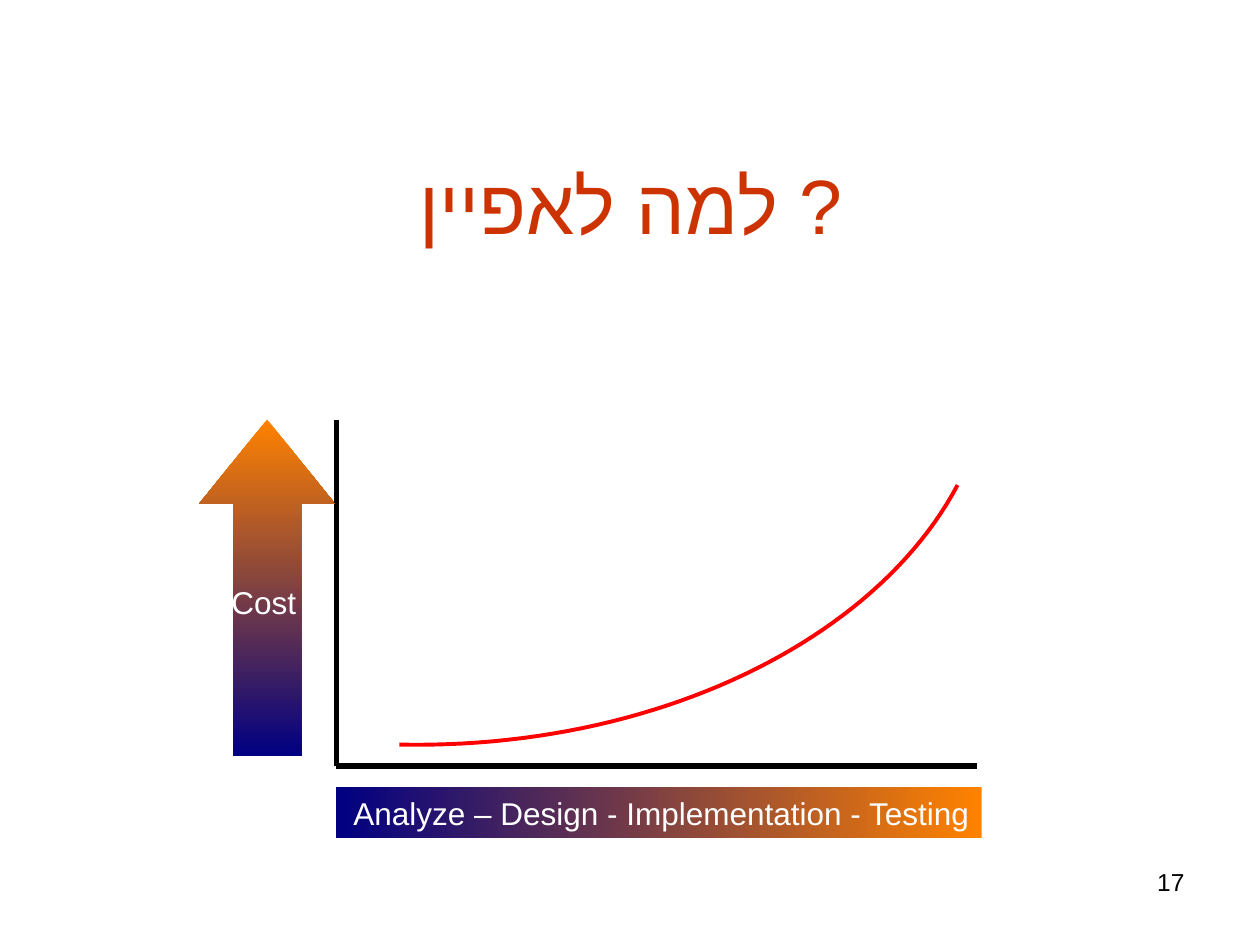
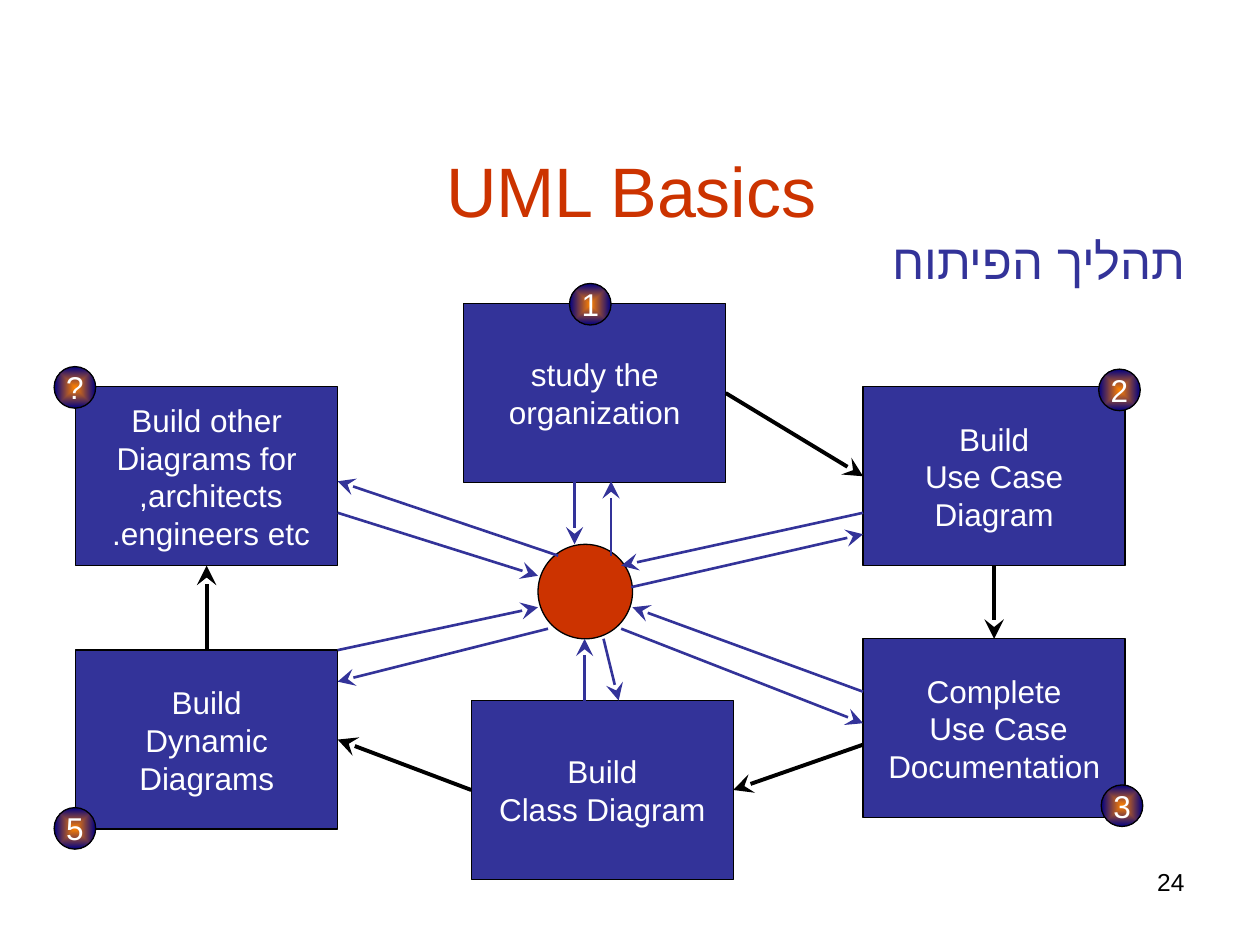
from pptx import Presentation
from pptx.dml.color import RGBColor
from pptx.enum.shapes import MSO_CONNECTOR, MSO_SHAPE
from pptx.enum.text import MSO_ANCHOR, MSO_AUTO_SIZE, PP_ALIGN
from pptx.oxml.ns import qn
from pptx.util import Inches, Pt
from lxml.etree import SubElement

BLACK = RGBColor(0x00, 0x00, 0x00)
WHITE = RGBColor(0xFF, 0xFF, 0xFF)
RUST = RGBColor(0xCC, 0x33, 0x00)
INDIGO = RGBColor(0x33, 0x33, 0x99)
RED = RGBColor(0xFF, 0x00, 0x00)
ORANGE = RGBColor(0xFF, 0x82, 0x00)
NAVY = RGBColor(0x00, 0x00, 0x82)
FONT = "Arial"

TOP, LEFT, BOTTOM, RIGHT = range(4)
STEP_SIZE = (2.08, 1.42)
BADGE_SIZE = 0.33

STEPS = {
    "study": (3.08, 0, "study the\norganization"),
    "use case": (6.25, 0.66, "Build\nUse Case\nDiagram"),
    "documentation": (6.25, 2.66, "Complete\nUse Case \nDocumentation"),
    "class": (3.14, 3.15, "Build\nClass Diagram"),
    "dynamic": (0, 2.75, "Build\nDynamic\nDiagrams"),
    "other": (0, 0.66, "Build other\nDiagrams for\narchitects, \nengineers etc. "),
}
BADGES = [
    ("study", 0.84, -0.16, "1"),
    ("use case", 1.87, -0.14, "2"),
    ("documentation", 1.89, 1.16, "3"),
    ("dynamic", -0.17, 1.25, "5"),
    ("other", -0.17, -0.16, "?"),
]
FLOWS = [
    ("study", RIGHT, "use case", LEFT),
    ("use case", BOTTOM, "documentation", TOP),
    ("class", LEFT, "dynamic", RIGHT),
    ("dynamic", TOP, "other", BOTTOM),
]
SPOKES = [
    ((3.83, 2), (2.08, 1.41)),
    ((2.08, 1.66), (3.67, 2.16)),
    ((2.08, 2.75), (3.67, 2.41)),
    ((3.75, 2.58), (2.08, 3)),
    ((4.04, 3.16), (4.04, 2.66)),
    ((4.19, 2.66), (4.31, 3.15)),
    ((6.25, 3.08), (4.42, 2.41)),
    ((4.33, 2.58), (6.25, 3.33)),
    ((6.25, 1.66), (4.33, 2.08)),
    ((4.41, 2.25), (6.25, 1.83)),
    ((3.96, 1.41), (3.96, 1.91)),
    ((4.25, 2), (4.25, 1.41)),
]


def write_text(frame, text, size=18, color=WHITE, align=PP_ALIGN.CENTER, rtl=False,
               anchor=MSO_ANCHOR.TOP, wrap=True, grow=False, space_before=0):
    frame.word_wrap = wrap
    frame.auto_size = MSO_AUTO_SIZE.SHAPE_TO_FIT_TEXT if grow else MSO_AUTO_SIZE.NONE
    frame.vertical_anchor = anchor
    for index, line in enumerate(text.split("\n")):
        paragraph = frame.add_paragraph() if index else frame.paragraphs[0]
        paragraph.alignment = align
        paragraph.space_before = Pt(space_before)
        paragraph._p.get_or_add_pPr().set("rtl", str(int(rtl)))
        run = paragraph.add_run()
        run.text = line
        run.font.size = Pt(size)
        run.font.name = FONT
        run.font.color.rgb = color
        SubElement(run._r.get_or_add_rPr(), qn("a:cs"), typeface=FONT)


def add_text(slide, box, text, **text_format):
    text_box = slide.shapes.add_textbox(*map(Inches, box))
    write_text(text_box.text_frame, text, **text_format)


def add_shape(slide, kind, box, fill=None, outlined=True):
    shape = slide.shapes.add_shape(kind, *map(Inches, box))
    shape.shadow.inherit = False
    if fill is not None:
        shape.fill.solid()
        shape.fill.fore_color.rgb = fill
    if outlined:
        shape.line.color.rgb = BLACK
        shape.line.width = Pt(0.75)
    else:
        shape.line.fill.background()
    return shape


def fill_gradient(shape, angle=None):
    shape.fill.gradient()
    for stop, color in zip(shape.fill.gradient_stops, (ORANGE, NAVY)):
        stop.color.rgb = color
    if angle is not None:
        shape.fill.gradient_angle = angle
        return
    linear = next(shape._element.iter(qn("a:lin")))
    gradient = linear.getparent()
    gradient.remove(linear)
    center = SubElement(gradient, qn("a:path"), path="rect")
    SubElement(center, qn("a:fillToRect"), l="50000", t="50000", r="50000", b="50000")


def add_line(slide, start, end, color, width, arrow=False):
    line = slide.shapes.add_connector(MSO_CONNECTOR.STRAIGHT, *map(Inches, (*start, *end)))
    line.line.color.rgb = color
    line.line.width = Pt(width)
    if arrow:
        SubElement(line.line._get_or_add_ln(), qn("a:tailEnd"), type="stealth", w="lg", len="lg")
    SubElement(line._element.spPr, qn("a:effectLst"))
    return line


def add_titled_slide(presentation, title, top, size, number):
    slide = presentation.slides.add_slide(presentation.slide_layouts[5])
    placeholder = slide.shapes.title
    placeholder.left, placeholder.top = Inches(0.51), Inches(top)
    placeholder.width, placeholder.height = Inches(9), Inches(1.25)
    write_text(placeholder.text_frame, title, size=size, color=RUST, anchor=MSO_ANCHOR.MIDDLE)
    add_text(slide, (7.17, 6.83, 2.33, 0.52), number, size=14, color=BLACK, align=PP_ALIGN.RIGHT)
    return slide


def add_cost_curve(slide, points, segments=48):
    def position(step):
        t = step / segments
        weights = ((1 - t) ** 3, 3 * t * (1 - t) ** 2, 3 * t ** 2 * (1 - t), t ** 3)
        return tuple(Inches(sum(weight * point[axis] for weight, point in zip(weights, points)))
                     for axis in (0, 1))

    builder = slide.shapes.build_freeform(*position(0))
    builder.add_line_segments([position(step) for step in range(1, segments + 1)], close=False)
    curve = builder.convert_to_shape()
    curve.shadow.inherit = False
    curve.fill.background()
    curve.line.color.rgb = RED
    curve.line.width = Pt(2.25)


def add_cost_graph(slide, left, top):
    def at(x, y):
        return left + x, top + y

    origin = at(1.09, 2.75)
    add_line(slide, at(1.09, 0), origin, BLACK, 3)
    add_line(slide, origin, at(6.17, 2.75), BLACK, 3)
    add_cost_curve(slide, [at(1.59, 2.58), at(3.62, 2.62), at(5.37, 1.75), at(6.02, 0.52)])

    phases = add_shape(slide, MSO_SHAPE.RECTANGLE, (*at(1.09, 2.92), 5.12, 0.4), outlined=False)
    fill_gradient(phases, angle=180)
    label_format = dict(align=PP_ALIGN.RIGHT, rtl=True, wrap=False, grow=True)
    write_text(phases.text_frame, "Analyze – Design - Implementation - Testing", **label_format)

    arrow = add_shape(slide, MSO_SHAPE.UP_ARROW, (left, top, 1.08, 2.67), outlined=False)
    arrow.adjustments[1] = 0.62
    fill_gradient(arrow, angle=270)
    add_text(slide, (*at(0.07, 1.25), 0.8, 0.4), "Cost", **label_format)


def add_process(slide, left, top):
    def at(x, y):
        return left + x, top + y

    label_format = dict(rtl=True, anchor=MSO_ANCHOR.MIDDLE, wrap=False)
    steps = {}
    for name, (x, y, text) in STEPS.items():
        steps[name] = add_shape(slide, MSO_SHAPE.RECTANGLE, (*at(x, y), *STEP_SIZE), INDIGO)
        write_text(steps[name].text_frame, text, **label_format)

    for source, source_side, target, target_side in FLOWS:
        flow = add_line(slide, at(0, 0), at(1, 1), BLACK, 2.25, arrow=True)
        flow.begin_connect(steps[source], source_side)
        flow.end_connect(steps[target], target_side)
    flow = add_line(slide, at(6.25, 3.5), at(5.17, 3.83), BLACK, 2.25, arrow=True)
    flow.end_connect(steps["class"], RIGHT)

    add_shape(slide, MSO_SHAPE.OVAL, (*at(3.67, 1.91), 0.75, 0.75), RUST)
    for name, x, y, text in BADGES:
        step_x, step_y = STEPS[name][:2]
        badge_box = (*at(step_x + x, step_y + y), BADGE_SIZE, BADGE_SIZE)
        badge = add_shape(slide, MSO_SHAPE.OVAL, badge_box)
        fill_gradient(badge)
        write_text(badge.text_frame, text, **label_format)
    for start, end in SPOKES:
        add_line(slide, at(*start), at(*end), INDIGO, 1.5, arrow=True)


def main():
    presentation = Presentation()
    presentation.slide_width, presentation.slide_height = Inches(10), Inches(7.5)

    cost_slide = add_titled_slide(presentation, "למה לאפיין ?", 0.99, 44, "17")
    add_cost_graph(cost_slide, 1.58, 3.33)

    process_slide = add_titled_slide(presentation, "UML Basics", 0.88, 40, "24")
    add_text(process_slide, (0.51, 1.78, 9, 0.6), "תהליך הפיתוח", size=28, color=INDIGO,
             align=PP_ALIGN.RIGHT, rtl=True, space_before=7)
    add_process(process_slide, 0.6, 2.41)

    presentation.save("out.pptx")


if __name__ == "__main__":
    main()
